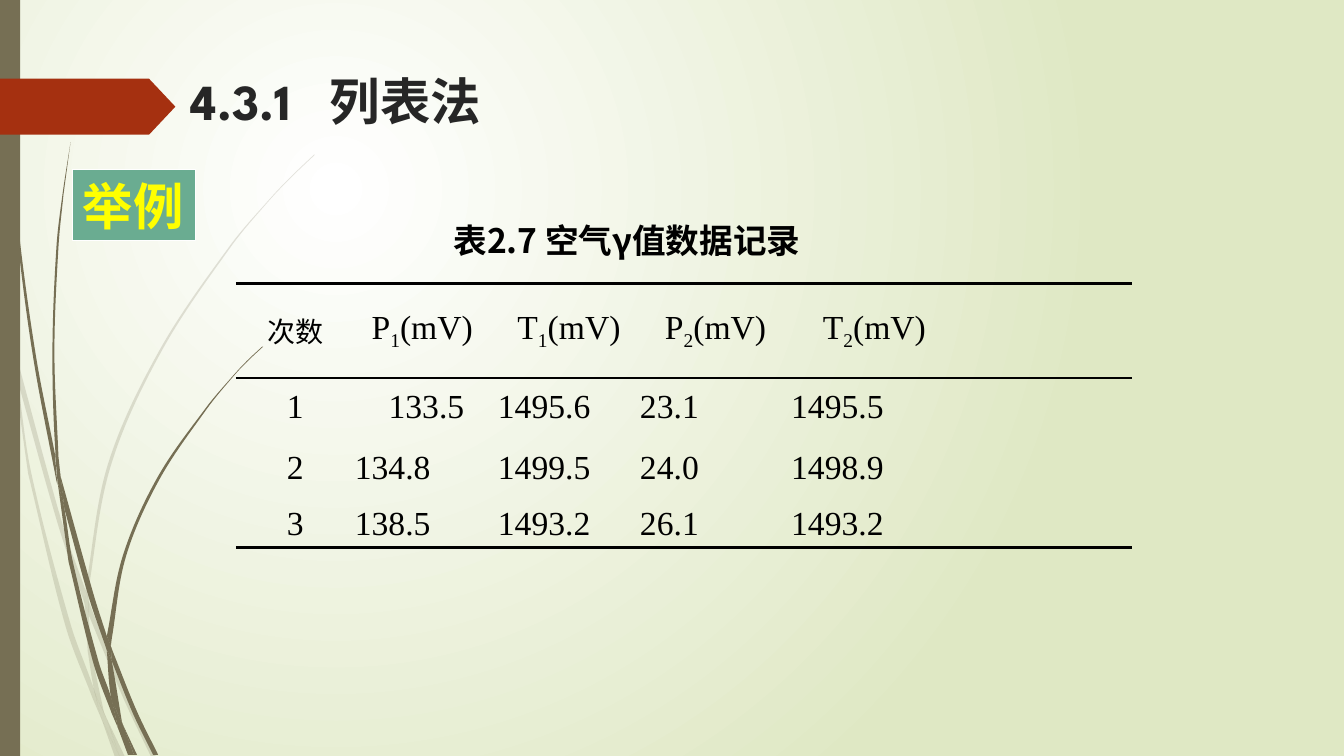
from math import hypot

from lxml import etree
from pptx import Presentation
from pptx.dml.color import RGBColor
from pptx.enum.shapes import MSO_SHAPE
from pptx.enum.text import MSO_ANCHOR, PP_ALIGN
from pptx.oxml.ns import qn
from pptx.util import Pt

RECT, ARROW = MSO_SHAPE.RECTANGLE, MSO_SHAPE.PENTAGON
TOP, MIDDLE = MSO_ANCHOR.TOP, MSO_ANCHOR.MIDDLE
LEFT, CENTER = PP_ALIGN.LEFT, PP_ALIGN.CENTER

WHITE = RGBColor(0xFF, 0xFF, 0xFF)
BLACK = RGBColor(0, 0, 0)
PALE_GREEN = RGBColor(0xDF, 0xE8, 0xC4)
OLIVE = RGBColor(0x76, 0x6F, 0x54)
RUST = RGBColor(0xA5, 0x30, 0x10)
DARK = RGBColor(0x26, 0x26, 0x26)
TEAL = RGBColor(0x6A, 0xAC, 0x91)
YELLOW = RGBColor(0xFF, 0xFF, 0)

HEADING, SANS, SERIF = "League Spartan", "Noto Sans CJK SC", "Times New Roman"

# Grass blades: two smooth edges each, on a grid of 0.72 points
GRID = 0.72
FAINT_BLADES = [
    ([(0, 282), (9, 322), (11, 350)], [(10, 344), (0, 299)]),
    ([(14, 345), (62, 520), (85, 586)], [(84, 599), (58, 522), (17, 376)]),
    ([(88, 596), (92, 607), (127, 692), (155, 751)],
     [(150, 751), (123, 694), (88, 610)]),
    ([(105, 711), (124, 751)], [(119, 751)]),
    ([(11, 350), (17, 376), (31, 469), (70, 619), (93, 683), (99, 707),
      (101, 714)], [(92, 693), (65, 621), (28, 470)]),
    ([(84, 599), (88, 608)], [(88, 610), (91, 646), (103, 706), (105, 711),
                              (96, 692), (93, 683), (87, 646)]),
    ([(312, 153), (289, 175), (268, 197), (228, 244), (158, 348), (107, 461),
      (85, 584), (85, 586)],
     [(88, 596), (88, 584), (110, 462), (160, 349), (229, 245), (268, 198),
      (290, 175), (312, 154)]),
    ([(101, 714), (114, 751)], [(119, 751)]),
    ([(85, 586), (88, 596), (88, 610)], [(88, 608), (84, 599)]),
    ([(93, 683), (96, 692), (105, 711), (119, 751)], [(101, 714), (99, 707)]),
]
SOLID_BLADES = [
    ([(3, 0), (4, 48), (7, 110), (17, 233), (33, 355), (56, 477), (57, 481)],
     [(55, 457), (55, 453), (36, 355), (19, 232), (8, 109), (5, 48), (4, 0)]),
    ([(60, 472), (93, 590), (106, 631)], [(106, 645), (88, 592), (64, 505)]),
    ([(110, 641), (113, 649), (136, 706), (157, 749)],
     [(152, 749), (132, 708), (111, 656)]),
    ([(57, 477), (64, 505), (72, 556), (98, 657), (110, 691), (116, 717),
      (117, 722)], [(111, 708), (93, 659), (68, 557)]),
    ([(70, 141), (62, 193), (56, 245), (52, 349), (55, 449), (60, 472)],
     [(58, 453), (54, 349), (58, 245), (63, 193)]),
    ([(122, 719), (136, 749)], [(133, 749)]),
    ([(55, 449), (60, 472), (64, 505)], [(57, 477), (55, 453)]),
    ([(260, 344), (245, 358), (231, 373), (204, 405), (156, 474), (122, 551),
      (106, 631)],
     [(110, 641), (111, 633), (125, 552), (158, 476), (205, 406), (231, 374),
      (245, 359), (261, 344)]),
    ([(117, 722), (131, 749)], [(127, 749)]),
    ([(106, 645), (110, 691), (116, 706), (122, 719)],
     [(121, 716), (111, 656), (109, 651)]),
    ([(106, 631), (110, 641), (111, 656)], [(109, 651), (106, 645)]),
    ([(110, 691), (116, 706), (122, 719), (133, 749)],
     [(130, 749), (117, 722), (116, 717)]),
]

COLUMNS = [85, 102.2, 101.5, 108, 118.8, 124.6]
ROWS = [67.7, 42, 45.2, 34]
HEADER = ["次数", ("P", "1", "(mV) "), ("T", "1", "(mV)"),
          ("P", "2", "(mV)"), ("T", "2", "(mV)"), ""]
DATA = [["1", "133.5", "1495.6", "23.1", "1495.5", ""],
        ["2", "134.8", "1499.5", "24.0", "1498.9", ""],
        ["3", "138.5", "1493.2", "26.1", "1493.2", ""]]


def add_run(p, text, size, font, color, bold=False, baseline=0):
    r = p.add_run()
    r.text = text
    r.font.size, r.font.name, r.font.bold = Pt(size), font, bold
    r.font.color.rgb = color
    rPr = r._r.get_or_add_rPr()
    etree.SubElement(rPr, qn("a:ea")).set("typeface", SANS)
    if baseline:
        rPr.set("baseline", str(baseline))


def paint(sp, color):
    sp.shadow.inherit = False
    sp.fill.solid()
    sp.fill.fore_color.rgb = color
    sp.line.fill.background()


def add_background(s):
    fill = s.background.fill
    fill.gradient()
    for stop, color in zip(fill.gradient_stops, (WHITE, PALE_GREEN)):
        stop.color.rgb = color
    grad = s._element.find(".//" + qn("a:gradFill"))
    grad.remove(grad.find(qn("a:lin")))
    path = etree.SubElement(grad, qn("a:path"), {"path": "circle"})
    etree.SubElement(path, qn("a:fillToRect"),
                     {"l": "50000", "t": "50000", "r": "100000", "b": "100000"})


def handle(edge, i, length):
    """Offset of a curve handle along the tangent at point i."""
    (x0, y0), (x1, y1) = edge[max(i - 1, 0)], edge[min(i + 1, len(edge) - 1)]
    scale = length / 3 / hypot(x1 - x0, y1 - y0)
    return (x1 - x0) * scale, (y1 - y0) * scale


def curve_edge(edge, lines, origin):
    """Turn the line segments along one edge into cubic curves."""
    for i, line in enumerate(lines):
        (x0, y0), (x1, y1) = edge[i], edge[i + 1]
        length = hypot(x1 - x0, y1 - y0)
        (ax, ay), (bx, by) = handle(edge, i, length), handle(edge, i + 1, length)
        line.tag = qn("a:cubicBezTo")
        for k, (x, y) in enumerate([(x0 + ax, y0 + ay), (x1 - bx, y1 - by)]):
            pt = etree.Element(qn("a:pt"), {"x": str(int(x - origin[0])),
                                            "y": str(int(y - origin[1]))})
            line.insert(k, pt)


def add_blade(group, left, top, blade, opacity):
    down, up = [[(Pt(left + GRID * x), Pt(top + GRID * y)) for x, y in edge]
                for edge in blade]
    builder = group.shapes.build_freeform(*down[0])
    builder.add_line_segments(down[1:] + up, close=True)
    sp = builder.convert_to_shape()
    lines = sp._element.findall(".//" + qn("a:lnTo"))
    origin = [min(axis) for axis in zip(*(down + up))]
    curve_edge(down, lines[:len(down) - 1], origin)
    curve_edge(up, lines[len(down):len(down) + len(up) - 1], origin)
    paint(sp, OLIVE)
    if opacity < 100:
        color = sp._element.spPr.find(qn("a:solidFill"))[0]
        etree.SubElement(color, qn("a:alpha")).set("val", str(opacity * 1000))


def add_decoration(s, left, top, height):
    for blades, opacity in ((FAINT_BLADES, 20), (SOLID_BLADES, 100)):
        group = s.shapes.add_group_shape()
        for blade in blades:
            add_blade(group, left, top, blade, opacity)
    # Side bar and title arrow
    bar = s.shapes.add_shape(RECT, Pt(left), Pt(top), Pt(14.4), Pt(height))
    paint(bar, OLIVE)
    arrow = s.shapes.add_shape(ARROW, Pt(left), Pt(top + 56.2), Pt(125.3), Pt(40))
    arrow.adjustments[0] = 0.47
    paint(arrow, RUST)


def add_title(s, left, top, width, height):
    sp = s.shapes.title
    sp.left, sp.top, sp.width, sp.height = Pt(left), Pt(top), Pt(width), Pt(height)
    sp.text_frame.vertical_anchor = TOP
    p = sp.text_frame.paragraphs[0]
    p.alignment = LEFT
    tabs = etree.SubElement(p._p.get_or_add_pPr(), qn("a:tabLst"))
    etree.SubElement(tabs, qn("a:tab"), {"pos": str(Pt(99.5)), "algn": "l"})
    add_run(p, "4.3.1\t列表法", 36, HEADING, DARK, True)


def add_label(s, left, top, width, height):
    sp = s.shapes.add_shape(RECT, Pt(left), Pt(top), Pt(width), Pt(height))
    paint(sp, TEAL)
    sp.line.color.rgb, sp.line.width = WHITE, Pt(0.75)
    tf = sp.text_frame
    tf.word_wrap, tf.vertical_anchor = False, MIDDLE
    p = tf.paragraphs[0]
    p.alignment = LEFT
    add_run(p, "举例", 36, HEADING, YELLOW, True)


def add_caption(s, left, top, width, height):
    tf = s.shapes.add_textbox(Pt(left), Pt(top), Pt(width), Pt(height)).text_frame
    tf.word_wrap, tf.margin_top = True, Pt(8.6)
    p = tf.paragraphs[0]
    p.line_spacing = 1.3
    add_run(p, "表2.7 空气γ值数据记录", 24, SANS, BLACK, True)


def set_borders(cell, top, bottom):
    tcPr = cell._tc.get_or_add_tcPr()
    for i, (side, width) in enumerate(zip("LRTB", (0, 0, top, bottom))):
        ln = etree.Element(qn("a:ln" + side), {"w": str(Pt(width))})
        fill = etree.SubElement(ln, qn("a:solidFill" if width else "a:noFill"))
        if width:
            etree.SubElement(fill, qn("a:srgbClr")).set("val", str(BLACK))
        tcPr.insert(i, ln)


def add_data_table(s, left, top):
    table = s.shapes.add_table(len(ROWS), len(COLUMNS), Pt(left), Pt(top),
                               Pt(sum(COLUMNS)), Pt(sum(ROWS))).table
    table.first_row = table.horz_banding = False
    for column, width in zip(table.columns, COLUMNS):
        column.width = Pt(width)
    for row, height in zip(table.rows, ROWS):
        row.height = Pt(height)
    rules = [2.25, 1, 0, 0, 2.25]
    for i, values in enumerate([HEADER] + DATA):
        for j, value in enumerate(values):
            cell = table.cell(i, j)
            cell.margin_left = cell.margin_right = 0
            cell.margin_top = cell.margin_bottom = 0
            cell.vertical_anchor = MIDDLE
            cell.fill.background()
            set_borders(cell, rules[i], rules[i + 1])
            p = cell.text_frame.paragraphs[0]
            centred = i == 0 or j == 0 or (i, j) == (1, 1)
            p.alignment = CENTER if centred else LEFT
            size = 20 if (i, j) == (0, 0) else 24
            for k, part in enumerate(value):
                if isinstance(value, tuple):
                    add_run(p, part, size, SERIF, BLACK, False, -25000 * (k == 1))
            if value and isinstance(value, str):
                add_run(p, value, size, SERIF, BLACK)


def main():
    prs = Presentation()
    prs.slide_width, prs.slide_height = Pt(960), Pt(540)
    s = prs.slides.add_slide(prs.slide_layouts[5])
    add_background(s)
    add_decoration(s, 0, 0, 540)
    add_title(s, 129, 46.8, 612, 90)
    add_data_table(s, 168.5, 202.3)
    add_caption(s, 316.8, 139.7, 323, 56)
    add_label(s, 52, 121, 87.5, 51)
    prs.save("out.pptx")


if __name__ == "__main__":
    main()
